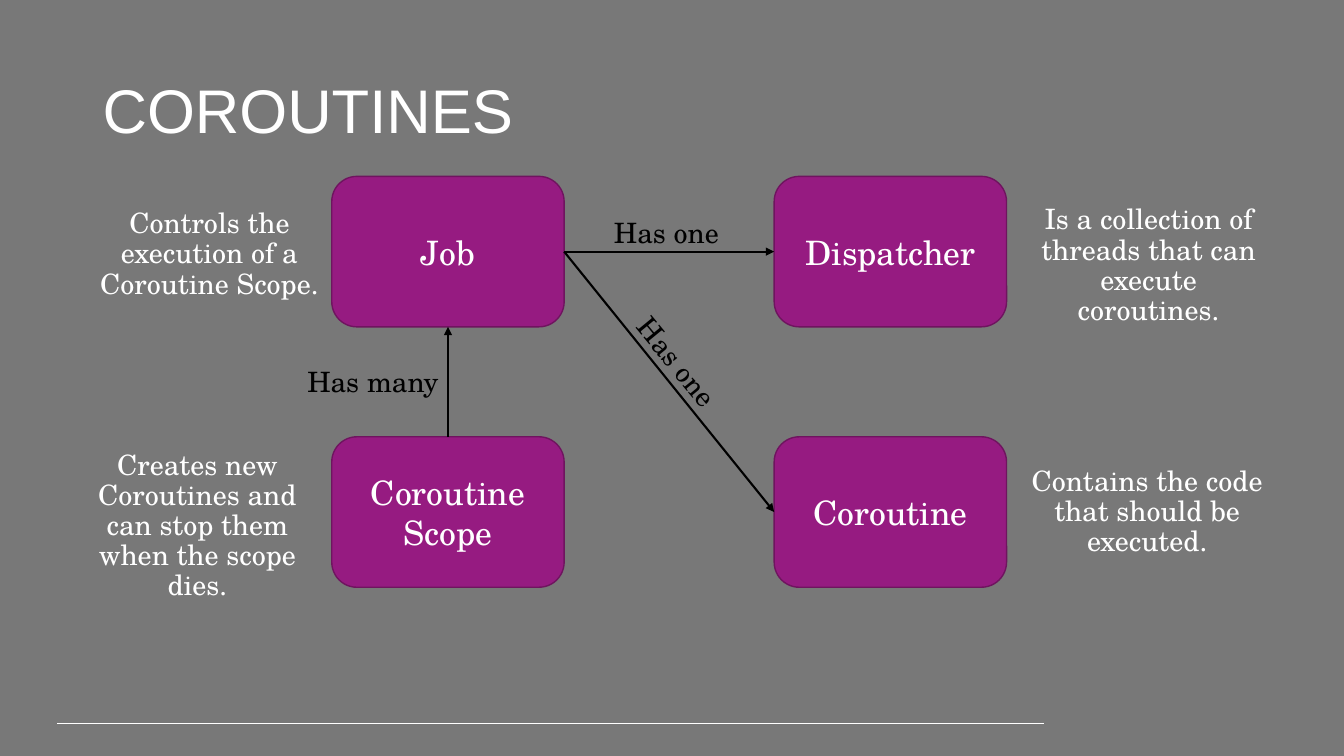
import pptx
import pptx.dml.color
import pptx.enum.shapes
import pptx.enum.text
import pptx.oxml.ns
import pptx.util
from lxml import etree

Pt = pptx.util.Pt
RGBColor = pptx.dml.color.RGBColor
Align = pptx.enum.text.PP_ALIGN
Anchor = pptx.enum.text.MSO_ANCHOR

GRAY = RGBColor(0x78, 0x78, 0x78)
PURPLE = RGBColor(0x96, 0x1B, 0x81)
DARK_PURPLE = RGBColor(0x6F, 0x14, 0x5F)
WHITE = RGBColor(0xFF, 0xFF, 0xFF)
BLACK = RGBColor(0, 0, 0)
SERIF = "TeX Gyre Schola"

# Content
TITLE = "COROUTINES"
# name: (column, row, lines)
NODES = {
    "coroutine": (1, 1, ["Coroutine"]),
    "scope": (0, 1, ["Coroutine", "Scope"]),
    "dispatcher": (1, 0, ["Dispatcher"]),
    "job": (0, 0, ["Job"]),
}
# start node, start site, end node, end site
ARROWS = [
    ("job", "right", "dispatcher", "left"),
    ("job", "right", "coroutine", "left"),
    ("scope", "top", "job", "bottom"),
]
# text, left, top, width, height, rotation, colour
LABELS = [
    ("Contains the code that should be executed.", 728, 330, 183, 73, 0, WHITE),
    ("Is a collection of threads that can execute coroutines.", 728, 143.3, 185, 73, 0, WHITE),
    ("Controls the execution of a Coroutine Scope.", 62.4, 146, 174.5, 73, 0, WHITE),
    ("Creates new Coroutines and can stop them when the scope dies.", 44.5, 318.5, 193, 94, 0, WHITE),
    ("Has one", 428.5, 153.4, 95, 29, 0, BLACK),
    ("Has one", 435, 244.8, 95, 29, 50.7, BLACK),
    ("Has many", 212.4, 259.2, 108, 29, 0, BLACK),
]

# Grid of nodes
LEFT, TOP = 237, 126
NODE_WIDTH, NODE_HEIGHT = 166, 107.5
COLUMN_STEP, ROW_STEP = 316, 186
SITES = {"top": 0, "left": 1, "bottom": 2, "right": 3}


def write(shape, lines, size, color, font=SERIF, align=Align.CENTER,
          anchor=Anchor.TOP, spacing=None):
    frame = shape.text_frame
    frame.word_wrap = True
    frame.vertical_anchor = anchor
    for index, line in enumerate(lines):
        para = frame.paragraphs[0] if index == 0 else frame.add_paragraph()
        para.alignment = align
        if spacing:
            para.line_spacing = spacing
        span = para.add_run()
        span.text = line
        span.font.size = Pt(size)
        span.font.name = font
        span.font.color.rgb = color


def add_line(page, color, width, ends=(0, 0, 0, 0)):
    line = page.shapes.add_connector(
        pptx.enum.shapes.MSO_CONNECTOR.STRAIGHT, *map(Pt, ends))
    line.line.color.rgb = color
    line.line.width = Pt(width)
    properties = line.element.spPr
    etree.SubElement(properties, pptx.oxml.ns.qn("a:effectLst"))
    return line


def add_node(page, column, row, lines):
    box = page.shapes.add_shape(
        pptx.enum.shapes.MSO_SHAPE.ROUNDED_RECTANGLE,
        Pt(LEFT + column * COLUMN_STEP), Pt(TOP + row * ROW_STEP),
        Pt(NODE_WIDTH), Pt(NODE_HEIGHT))
    box.shadow.inherit = False
    box.fill.solid()
    box.fill.fore_color.rgb = PURPLE
    box.line.color.rgb = DARK_PURPLE
    box.line.width = Pt(1)
    write(box, lines, 24, WHITE, anchor=Anchor.MIDDLE)
    return box


def main():
    deck = pptx.Presentation()
    deck.slide_width, deck.slide_height = Pt(960), Pt(540)
    page = deck.slides.add_slide(deck.slide_layouts[6])
    page.background.fill.solid()
    page.background.fill.fore_color.rgb = GRAY

    # Footer rule and title
    add_line(page, WHITE, 0.75, (41, 517, 746, 517))
    title = page.shapes.add_textbox(Pt(66.2), Pt(28.8), Pt(828), Pt(104.4))
    write(title, [TITLE], 44, WHITE, "Arial", Align.LEFT, Anchor.MIDDLE, 0.9)

    # Nodes
    boxes = {name: add_node(page, *node) for name, node in NODES.items()}

    # Arrows glued to the nodes
    for start, start_site, end, end_site in ARROWS:
        arrow = add_line(page, BLACK, 1.5)
        arrow.begin_connect(boxes[start], SITES[start_site])
        arrow.end_connect(boxes[end], SITES[end_site])
        etree.SubElement(arrow.line._get_or_add_ln(),
                         pptx.oxml.ns.qn("a:tailEnd"), type="triangle")

    # Descriptions and arrow labels
    for text, left, top, width, height, rotation, color in LABELS:
        label = page.shapes.add_textbox(Pt(left), Pt(top), Pt(width), Pt(height))
        label.rotation = rotation
        write(label, [text], 20, color, spacing=0.9)

    deck.save("out.pptx")


if __name__ == "__main__":
    main()
